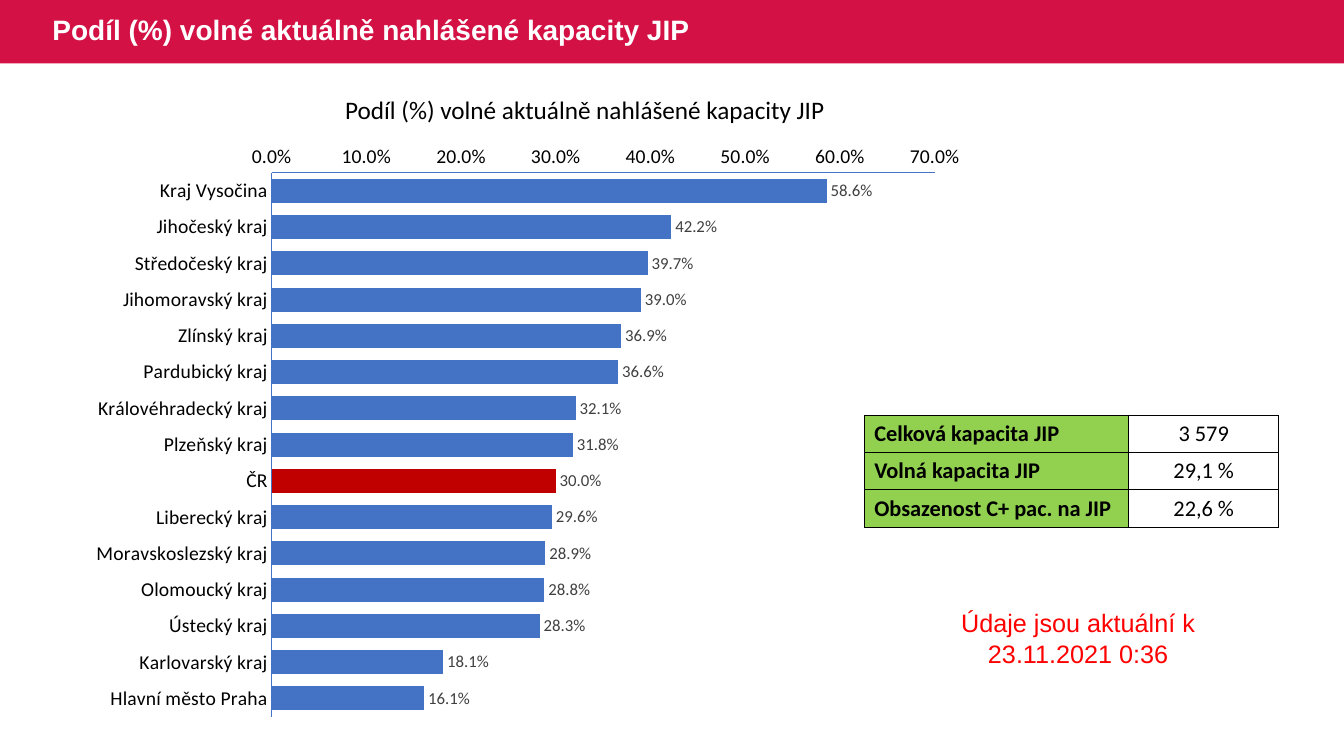
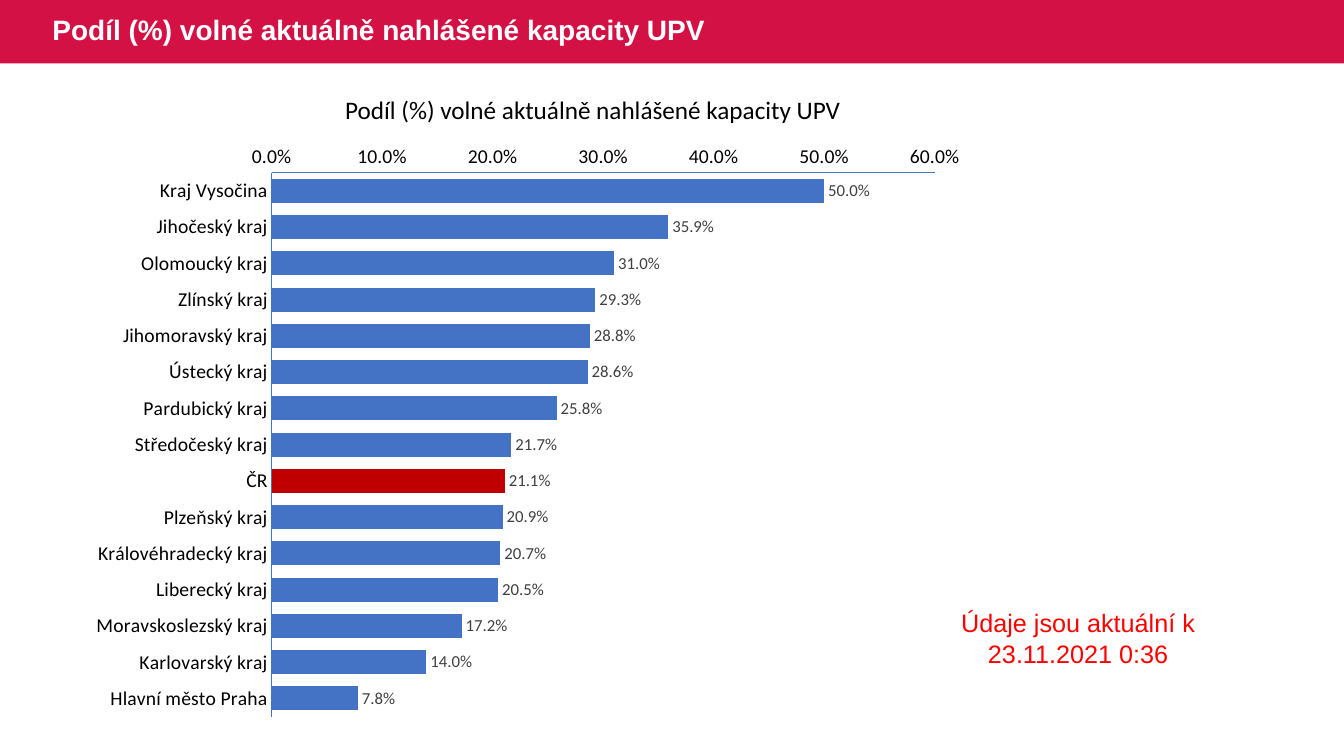
import pptx
import pptx.chart.data
import pptx.dml.color
import pptx.enum.chart
import pptx.enum.shapes
import pptx.enum.text
import pptx.oxml.ns
import pptx.util
from lxml import etree

Cm, Pt = pptx.util.Cm, pptx.util.Pt
qn = pptx.oxml.ns.qn
Align = pptx.enum.text.PP_ALIGN
Anchor = pptx.enum.text.MSO_ANCHOR

HEAD = "Podíl (%) volné aktuálně nahlášené kapacity "
STAMP = "Údaje jsou aktuální k 23.11.2021 0:36"
NATION = "ČR"

ICU = {
    "Kraj Vysočina": 0.586, "Jihočeský kraj": 0.422,
    "Středočeský kraj": 0.397, "Jihomoravský kraj": 0.39,
    "Zlínský kraj": 0.369, "Pardubický kraj": 0.366,
    "Královéhradecký kraj": 0.321, "Plzeňský kraj": 0.318,
    NATION: 0.3, "Liberecký kraj": 0.296,
    "Moravskoslezský kraj": 0.289, "Olomoucký kraj": 0.288,
    "Ústecký kraj": 0.283, "Karlovarský kraj": 0.181,
    "Hlavní město Praha": 0.161,
}
VENT = {
    "Kraj Vysočina": 0.5, "Jihočeský kraj": 0.359,
    "Olomoucký kraj": 0.31, "Zlínský kraj": 0.293,
    "Jihomoravský kraj": 0.288, "Ústecký kraj": 0.286,
    "Pardubický kraj": 0.258, "Středočeský kraj": 0.217,
    NATION: 0.211, "Plzeňský kraj": 0.209,
    "Královéhradecký kraj": 0.207, "Liberecký kraj": 0.205,
    "Moravskoslezský kraj": 0.172, "Karlovarský kraj": 0.14,
    "Hlavní město Praha": 0.078,
}
TOTALS = [
    ("Celková kapacita JIP", "3 579"),
    ("Volná kapacita JIP", "29,1 %"),
    ("Obsazenost C+ pac. na JIP", "22,6 %"),
]


def rgb(code):
    return pptx.dml.color.RGBColor.from_string(code)


def paint(fill, code):
    fill.solid()
    fill.fore_color.rgb = rgb(code)


def style(font, size, code, face, bold=False):
    font.size, font.name, font.bold = Pt(size), face, bold
    font.color.rgb = rgb(code)


def border(cell, code, width):
    """Draw all four edges of a table cell; call before filling it."""
    props = cell._tc.get_or_add_tcPr()
    for edge in ("a:lnL", "a:lnR", "a:lnT", "a:lnB"):
        line = etree.SubElement(props, qn(edge), w=str(Pt(width)))
        fill = etree.SubElement(line, qn("a:solidFill"))
        etree.SubElement(fill, qn("a:srgbClr"), val=code)


def place(chart, **parts):
    """Fix the inner plot area, as fractions of the chart."""
    plot = chart.element.find(".//" + qn("c:plotArea"))
    for old in plot.findall(qn("c:layout")):
        plot.remove(old)
    layout = etree.Element(qn("c:layout"))
    plot.insert(0, layout)
    manual = etree.SubElement(layout, qn("c:manualLayout"))
    rules = {"layoutTarget": "inner", "xMode": "edge", "yMode": "edge"}
    for name, val in {**rules, **parts}.items():
        etree.SubElement(manual, qn("c:" + name), val=str(val))


class Deck:
    BAND, WHITE, BLACK, RED = "D31145", "FFFFFF", "000000", "FF0000"
    BLUE, DARK, GREEN, GREY = "4472C4", "C00000", "92D050", "404040"
    SANS, BODY = "Arial", "Calibri"

    def __init__(self):
        self.show = pptx.Presentation()
        self.show.slide_width = Cm(33.87)
        self.show.slide_height = Cm(19.05)
        self.slide = None

    def page(self, title):
        """Start a slide with its title band."""
        self.slide = self.show.slides.add_slide(self.show.slide_layouts[6])
        kind = pptx.enum.shapes.MSO_SHAPE.RECTANGLE
        band = self.slide.shapes.add_shape(
            kind, 0, 0, self.show.slide_width, Cm(1.6))
        band.shadow.inherit = False
        paint(band.fill, self.BAND)
        band.line.fill.background()
        self.text((1.07, 0, 29.36, 1.6), title, 20, self.WHITE, self.SANS,
                  bold=True, anchor=Anchor.MIDDLE, space=0.9)

    def text(self, box, words, size, code, face, bold=False, wrap=True,
             align=Align.LEFT, anchor=Anchor.TOP, space=None):
        frame = self.slide.shapes.add_textbox(*map(Cm, box)).text_frame
        frame.word_wrap, frame.vertical_anchor = wrap, anchor
        para = frame.paragraphs[0]
        para.alignment, para.line_spacing = align, space
        self.run(para, words, size, code, face, bold)

    def run(self, para, words, *look):
        run = para.add_run()
        run.text = words
        style(run.font, *look)

    def bars(self, box, shares, top):
        enum = pptx.enum.chart
        data = pptx.chart.data.CategoryChartData(number_format="0.0%")
        data.categories = list(shares)
        data.add_series("Series 1", list(shares.values()))
        chart = self.slide.shapes.add_chart(
            enum.XL_CHART_TYPE.BAR_CLUSTERED, *map(Cm, box), data).chart
        chart.has_legend = chart.has_title = False
        style(chart.font, 10, self.BLACK, self.BODY)
        place(chart, x=0.22, y=0.07, w=0.74, h=0.91)

        for axis in (chart.category_axis, chart.value_axis):
            axis.has_major_gridlines = False
            axis.major_tick_mark = enum.XL_TICK_MARK.NONE
            axis.minor_tick_mark = enum.XL_TICK_MARK.NONE
            axis.format.line.width = Pt(0.75)
            axis.format.line.color.rgb = rgb(self.BLUE)
            style(axis.tick_labels.font, 14, self.BLACK, self.BODY)
        chart.category_axis.reverse_order = True
        scale = chart.value_axis
        scale.minimum_scale, scale.maximum_scale = 0, top
        scale.major_unit = 0.1
        scale.tick_labels.number_format = "0.0%"
        scale.tick_labels.number_format_is_linked = False

        plot = chart.plots[0]
        plot.gap_width, plot.vary_by_categories = 50, False
        series = plot.series[0]
        paint(series.format.fill, self.BLUE)
        nation = series.points[list(shares).index(NATION)]
        paint(nation.format.fill, self.DARK)
        labels = series.data_labels
        labels.show_value = True
        labels.position = enum.XL_LABEL_POSITION.OUTSIDE_END
        labels.number_format = "0.0%"
        labels.number_format_is_linked = False
        style(labels.font, 12, self.GREY, self.BODY)

    def table(self, left, top, widths, height, rows):
        table = self.slide.shapes.add_table(
            len(rows), len(widths), Cm(left), Cm(top),
            Cm(sum(widths)), Cm(height * len(rows))).table
        table.first_row = table.horz_banding = False
        for col, width in zip(table.columns, widths):
            col.width = Cm(width)
        for line, words in zip(table.rows, rows):
            line.height = Cm(height)
            for cell, word, head in zip(line.cells, words, (True, False)):
                border(cell, self.BLACK, 0.75)
                para = cell.text_frame.paragraphs[0]
                self.run(para, word, 16, self.BLACK, self.BODY, head)
                if head:
                    paint(cell.fill, self.GREEN)
                else:
                    cell.fill.background()
                    cell.vertical_anchor = Anchor.MIDDLE
                    para.alignment = Align.CENTER


def main():
    deck = Deck()
    for unit, shares, top, totals in (("JIP", ICU, 0.7, TOTALS),
                                      ("UPV", VENT, 0.6, None)):
        deck.page(HEAD + unit)
        deck.bars((1.88, 3.3, 22.58, 15.06), shares, top)
        deck.text((8.45, 2.26, 13.05, 1.03), HEAD + unit, 18, deck.BLACK,
                  deck.BODY, wrap=False)
        if totals:
            deck.table(21.78, 10.46, (6.67, 3.77), 0.94, totals)
        deck.text((23.93, 15.19, 6.48, 1.8), STAMP, 18, deck.RED, deck.SANS,
                  align=Align.CENTER)
    deck.show.save("out.pptx")


if __name__ == "__main__":
    main()
